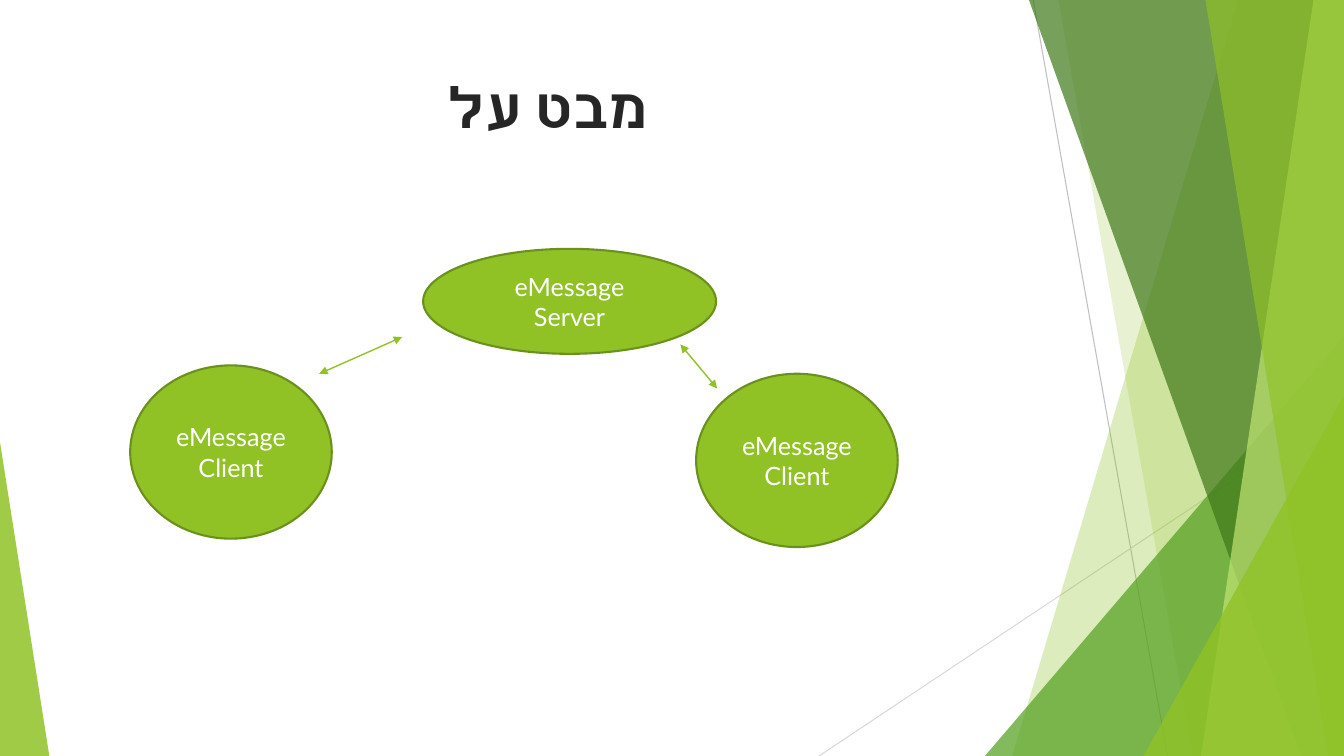
from dataclasses import dataclass
from typing import Any

import lxml.etree
import pptx
import pptx.dml.color
import pptx.enum.shapes
import pptx.enum.text
import pptx.oxml
import pptx.oxml.ns
import pptx.util

RGB = pptx.dml.color.RGBColor
SHAPE = pptx.enum.shapes.MSO_SHAPE
PX = 9525
WIDTH, HEIGHT = 1280, 720
TITLE_ONLY = 5

LIME = RGB(0x90, 0xC2, 0x26)
LIME_EDGE = RGB(0x6B, 0x90, 0x1C)
PALE_LIME = RGB(0xC0, 0xE4, 0x74)
GREEN = RGB(0x54, 0xA0, 0x21)
FOREST = RGB(0x3F, 0x78, 0x19)
GREY = RGB(0xBF, 0xBF, 0xBF)
LIGHT_GREY = RGB(0xD9, 0xD9, 0xD9)
INK = RGB(0x26, 0x26, 0x26)
WHITE = RGB(0xFF, 0xFF, 0xFF)

TITLE_FONT = {"name": "Lato", "size": pptx.util.Pt(40), "bold": True}
OVAL_FONT = {"name": "Lato", "size": pptx.util.Pt(18)}
TITLE_FRAME = {
    "word_wrap": True,
    "vertical_anchor": pptx.enum.text.MSO_ANCHOR.TOP,
    "auto_size": pptx.enum.text.MSO_AUTO_SIZE.NONE,
}
OVAL_FRAME = {"word_wrap": True, "vertical_anchor": pptx.enum.text.MSO_ANCHOR.MIDDLE}


@dataclass(frozen=True)
class Line:
    x1: int
    y1: int
    x2: int
    y2: int
    color: RGB
    width: float
    arrows: bool = False


@dataclass(frozen=True)
class Band:
    top_left: int
    bottom_left: int
    color: RGB
    opacity: int


@dataclass(frozen=True)
class Wedge:
    x: int
    y: int
    w: int
    h: int
    apex: float
    color: RGB
    opacity: int


@dataclass(frozen=True)
class Oval:
    x: int
    y: int
    w: int
    h: int
    text: str


GUIDES = [
    Line(984, 0, 1112, HEIGHT, GREY, 0.75),
    Line(WIDTH, 387, 780, HEIGHT, LIGHT_GREY, 0.75),
]
DECORATION = [
    Band(1179, 964, LIME, 30),
    Band(1008, 1136, LIME, 20),
    Wedge(938, 320, 342, 400, 1, GREEN, 72),
    Band(980, 1239, FOREST, 70),
    Band(1251, 1144, PALE_LIME, 70),
    Band(1148, 1265, LIME, 65),
    Wedge(1089, 377, 191, 343, 1, LIME, 80),
    Wedge(0, 421, 47, 299, 0, LIME, 85),
]
OVALS = [
    Oval(663, 356, 192, 165, "eMessage Client"),
    Oval(403, 237, 279, 100, "eMessage Server"),
    Oval(124, 348, 192, 165, "eMessage Client"),
]
LINKS = [
    Line(683, 370, 648, 328, LIME, 1, True),
    Line(383, 321, 304, 356, LIME, 1, True),
]


def px(*values: int) -> list[int]:
    return [v * PX for v in values]


def add_child(parent: Any, tag: str, **attrs: str) -> Any:
    child = lxml.etree.SubElement(parent, pptx.oxml.ns.qn(tag))
    for name, value in attrs.items():
        child.set(name, value)
    return child


def set_attrs(obj: Any, values: dict[str, Any]) -> None:
    for name, value in values.items():
        setattr(obj, name, value)


def write_text(sp: Any, text: str, frame: dict[str, Any], font: dict[str, Any], color: RGB) -> Any:
    tf = sp.text_frame
    set_attrs(tf, frame)
    p = tf.paragraphs[0]
    p.alignment = pptx.enum.text.PP_ALIGN.CENTER
    p._p.get_or_add_pPr().set("rtl", "1")
    r = p.add_run()
    r.text = text
    set_attrs(r.font, font)
    r.font.color.rgb = color
    add_child(r.font._element, "a:cs", typeface=font["name"])
    return r


def add_line(s: Any, line: Line) -> None:
    cxn = s.shapes.add_connector(
        pptx.enum.shapes.MSO_CONNECTOR.STRAIGHT, *px(line.x1, line.y1, line.x2, line.y2)
    )
    cxn.line.color.rgb = line.color
    cxn.line.width = pptx.util.Pt(line.width)
    if line.arrows:
        for end in ("a:headEnd", "a:tailEnd"):
            add_child(cxn.line._get_or_add_ln(), end, type="triangle")
    add_child(cxn._element.spPr, "a:effectLst")


def add_decoration(s: Any, item: Band | Wedge) -> None:
    if isinstance(item, Band):
        outline = s.shapes.build_freeform(item.top_left, 0, scale=float(PX))
        outline.add_line_segments([(WIDTH, 0), (WIDTH, HEIGHT), (item.bottom_left, HEIGHT)])
        sp = outline.convert_to_shape()
    else:
        sp = s.shapes.add_shape(
            SHAPE.ISOSCELES_TRIANGLE, *px(item.x, item.y, item.w, item.h)
        )
        sp.adjustments[0] = item.apex
    sp.shadow.inherit = False
    sp.line.fill.background()
    sp.fill.solid()
    sp.fill.fore_color.rgb = item.color
    color = sp._element.spPr.find(".//" + pptx.oxml.ns.qn("a:srgbClr"))
    add_child(color, "a:alpha", val=str(item.opacity * 1000))


def add_oval(s: Any, oval: Oval) -> None:
    sp = s.shapes.add_shape(SHAPE.OVAL, *px(oval.x, oval.y, oval.w, oval.h))
    sp.shadow.inherit = False
    sp.fill.solid()
    sp.fill.fore_color.rgb = LIME
    sp.line.color.rgb = LIME_EDGE
    sp.line.width = pptx.util.Pt(1.5)
    write_text(sp, oval.text, OVAL_FRAME, OVAL_FONT, WHITE)


def place_title(s: Any, text: str) -> None:
    sp = s.shapes.title
    set_attrs(sp, dict(zip(("left", "top", "width", "height"), px(71, 64, 902, 138))))
    r = write_text(sp, text, TITLE_FRAME, TITLE_FONT, INK)
    ln = pptx.oxml.parse_xml(
        f'<a:ln {pptx.oxml.ns.nsdecls("a")} w="{pptx.util.Pt(1.06)}">'
        f'<a:solidFill><a:srgbClr val="{WHITE}"/></a:solidFill></a:ln>'
    )
    r.font._element.insert(0, ln)
    s.shapes._spTree.append(sp._element)


def main() -> None:
    prs = pptx.Presentation()
    prs.slide_width, prs.slide_height = px(WIDTH, HEIGHT)
    s = prs.slides.add_slide(prs.slide_layouts[TITLE_ONLY])
    for line in GUIDES:
        add_line(s, line)
    for item in DECORATION:
        add_decoration(s, item)
    place_title(s, "מבט על")
    for oval in OVALS:
        add_oval(s, oval)
    for link in LINKS:
        add_line(s, link)
    prs.save("out.pptx")


if __name__ == "__main__":
    main()
